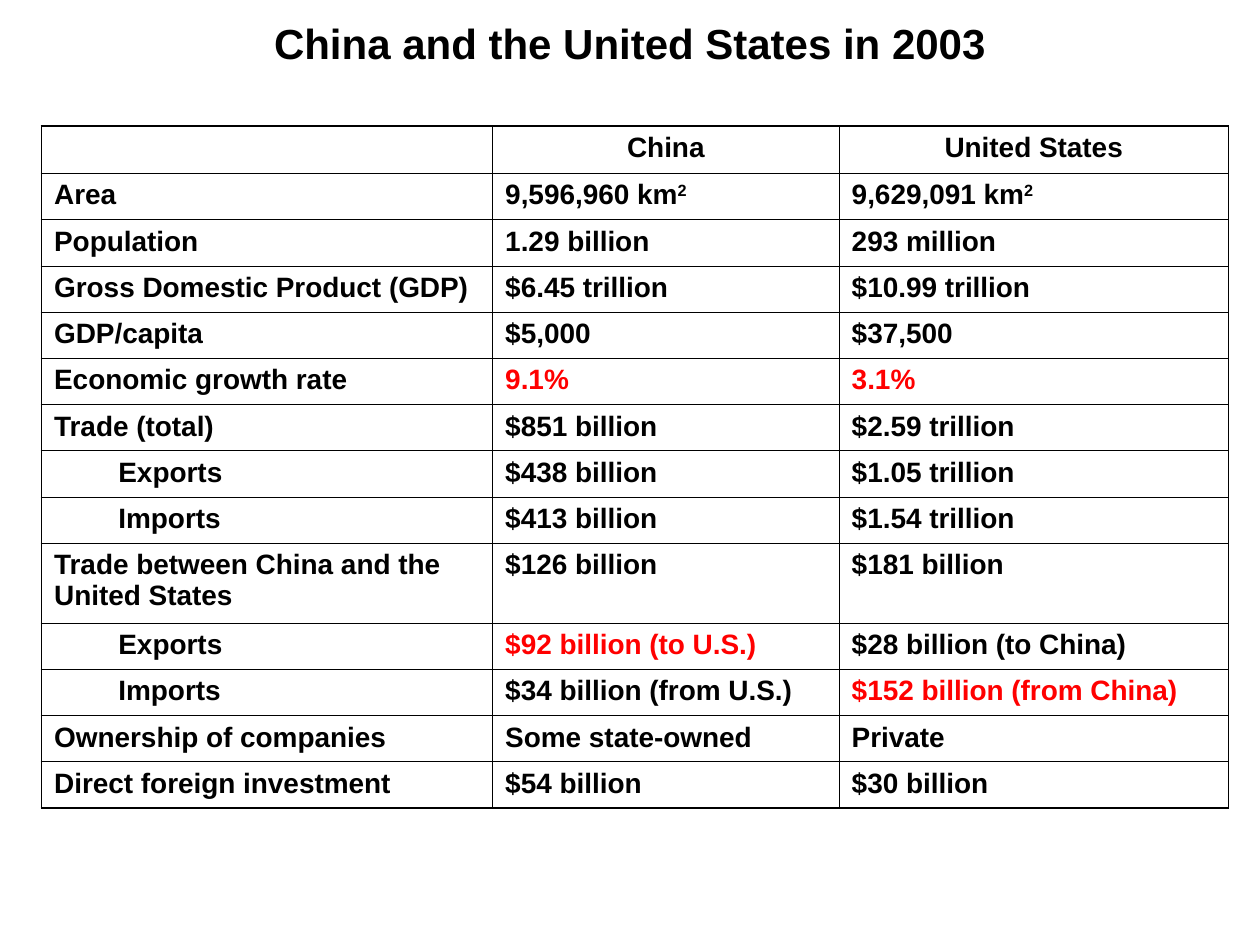
from dataclasses import dataclass

from lxml import etree
from pptx import Presentation, util as u
from pptx.dml.color import RGBColor
from pptx.enum import text
from pptx.oxml.ns import qn


@dataclass(frozen=True)
class Theme:
    font: str = "Arial"
    ink: str = "000000"
    hot: str = "FF0000"
    title: int = 24
    body: int = 16
    thin: float = 0.45
    thick: float = 1.08
    indent: float = 0.51


ROWS = [
    ("", "China", "United States"),
    ("Area", "9,596,960 km^2", "9,629,091 km^2"),
    ("Population", "1.29 billion", "293 million"),
    ("Gross Domestic Product (GDP)", "$6.45 trillion", "$10.99 trillion"),
    ("GDP/capita", "$5,000", "$37,500"),
    ("Economic growth rate", "9.1%", "3.1%"),
    ("Trade (total)", "$851 billion", "$2.59 trillion"),
    ("Exports", "$438 billion", "$1.05 trillion"),
    ("Imports", "$413 billion", "$1.54 trillion"),
    ("Trade between China and the United States", "$126 billion", "$181 billion"),
    ("Exports", "$92 billion (to U.S.)", "$28 billion (to China)"),
    ("Imports", "$34 billion (from U.S.)", "$152 billion (from China)"),
    ("Ownership of companies", "Some state-owned", "Private"),
    ("Direct foreign investment", "$54 billion", "$30 billion"),
]
HOT = {"9.1%", "3.1%", "$92 billion (to U.S.)", "$152 billion (from China)"}
SUB = {"Exports", "Imports"}
WIDE = (3.58, 2.75, 3.09)
HIGH = [0.38] + [0.37] * (len(ROWS) - 1)
HIGH[9] = 0.63


class Page:
    def __init__(self, deck, theme):
        self.deck, self.theme = deck, theme
        self.slide = deck.slides.add_slide(deck.slide_layouts[6])

    def box(self, x, y, w, h):
        """Turn shares of the slide's size into lengths."""
        wide, high = self.deck.slide_width, self.deck.slide_height
        return int(x * wide), int(y * high), int(w * wide), int(h * high)

    def label(self, para, words, size, color, center=False):
        """Fill a paragraph; what follows a caret is raised."""
        base, _, power = words.partition("^")
        if base:
            para.add_run().text = base
        if power:
            run = para.add_run()
            run.text = power
            run.font._element.set("baseline", "30000")
        para.alignment = text.PP_ALIGN.CENTER if center else text.PP_ALIGN.LEFT
        font = para.font
        font.name, font.size, font.bold = self.theme.font, u.Pt(size), True
        font.color.rgb = RGBColor.from_string(color)

    def title(self, words, *area):
        frame = self.slide.shapes.add_textbox(*self.box(*area)).text_frame
        frame.word_wrap = True
        frame.vertical_anchor = text.MSO_ANCHOR.MIDDLE
        self.label(frame.paragraphs[0], words, self.theme.title, self.theme.ink, True)

    def edge(self, cell, sides):
        """Draw cell borders; sides maps L, R, T, B to widths in points."""
        props = cell._tc.get_or_add_tcPr()
        for spot, (side, width) in enumerate(sides.items()):
            line = etree.Element(qn(f"a:ln{side}"), w=str(u.Pt(width)))
            fill = etree.SubElement(line, qn("a:solidFill"))
            etree.SubElement(fill, qn("a:srgbClr"), val=self.theme.ink)
            props.insert(spot, line)

    def table(self, rows, wide, high, *area):
        look = self.theme
        last, end = len(rows) - 1, len(wide) - 1
        left, top, full, tall = self.box(*area)
        grid = self.slide.shapes.add_table(
            len(rows), len(wide), left, top, full, tall).table
        grid.first_row = grid.horz_banding = False
        for col, part in zip(grid.columns, wide):
            col.width = int(full * part / sum(wide))
        for row, part in zip(grid.rows, high):
            row.height = int(tall * part / sum(high))

        for r, row in enumerate(rows):
            for c, words in enumerate(row):
                cell = grid.cell(r, c)
                cell.fill.background()
                outer = {"L": c == 0, "R": c == end, "T": r == 0, "B": r == last}
                self.edge(cell, {side: look.thick if out else look.thin
                                 for side, out in outer.items()})
                para = cell.text_frame.paragraphs[0]
                if words in SUB:
                    para._p.get_or_add_pPr().set("marL", str(u.Inches(look.indent)))
                color = look.hot if words in HOT else look.ink
                self.label(para, words, look.body, color, r == 0)


def main():
    deck = Presentation()
    deck.slide_width, deck.slide_height = u.Inches(10), u.Inches(7.5)
    page = Page(deck, Theme())
    page.title("China and the United States in 2003", 0.05, 0.01, 0.9, 0.07)
    page.table(ROWS, WIDE, HIGH, 0.033, 1 / 7.5, 0.942, 0.72)
    deck.save("out.pptx")


if __name__ == "__main__":
    main()
